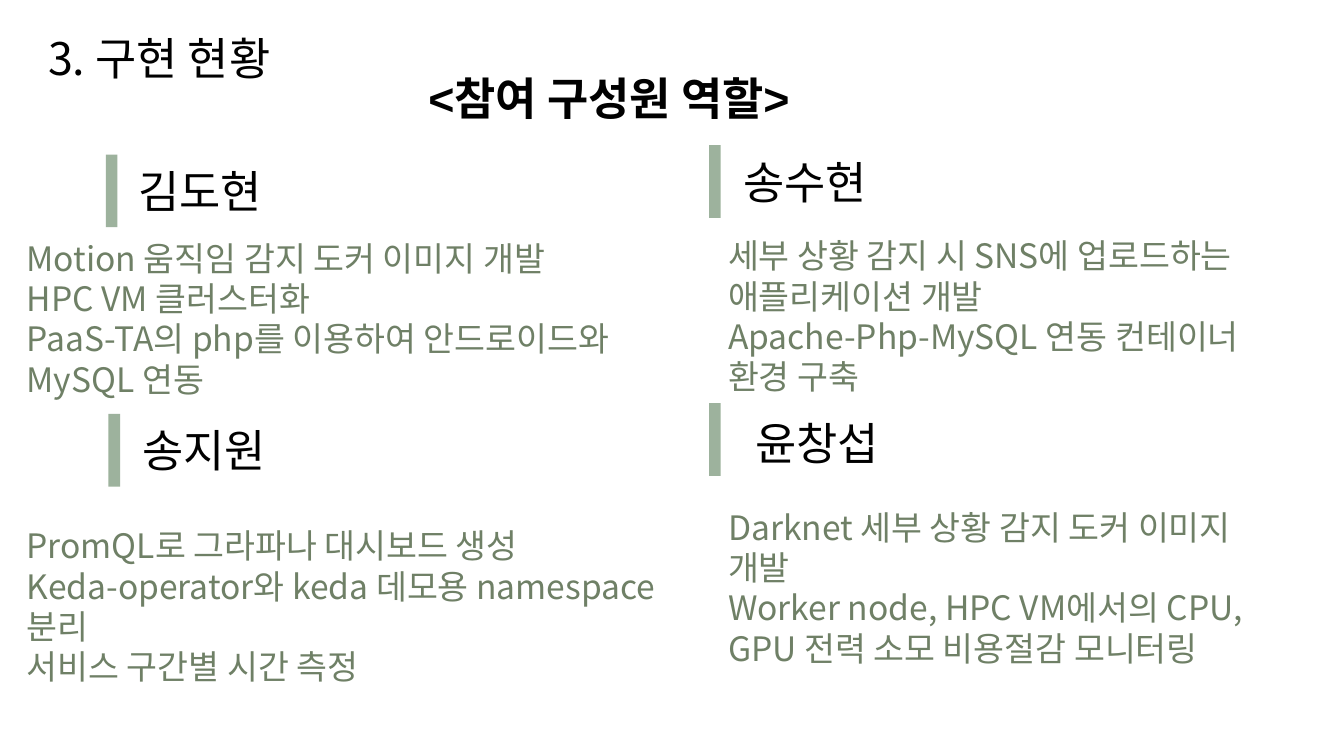
"""Build the slide on the roles of the four project members."""
from lxml import etree
from pptx import Presentation
from pptx.dml.color import RGBColor
from pptx.enum.shapes import MSO_CONNECTOR
from pptx.enum.text import MSO_ANCHOR, PP_ALIGN
from pptx.oxml.ns import qn
from pptx.util import Pt

STRAIGHT = MSO_CONNECTOR.STRAIGHT
TOP, MIDDLE = MSO_ANCHOR.TOP, MSO_ANCHOR.MIDDLE
LEFT, CENTER = PP_ALIGN.LEFT, PP_ALIGN.CENTER
KOREAN = "Noto Sans CJK KR"
BLACK, SAGE, GREEN = "000000", "6F8066", "5A7D59"


def rgb(value):
    return RGBColor.from_string(value)


def add_text(box, lines, size, color=BLACK, align=LEFT, anchor=TOP, font=KOREAN, bold=False):
    sp = s.shapes.add_textbox(*[Pt(v) for v in box])
    tf = sp.text_frame
    tf.word_wrap = True
    tf.vertical_anchor = anchor
    tf.text = "\n".join(lines)
    for p in tf.paragraphs:
        p.alignment = align
        for r in p.runs:
            r.font.size = Pt(size)
            r.font.name = font
            r.font.bold = bold
            r.font.color.rgb = rgb(color)
            ea = etree.SubElement(r.font._element, qn("a:ea"))
            ea.set("typeface", KOREAN)
    return tf


prs = Presentation()
prs.slide_width, prs.slide_height = Pt(720), Pt(405)
s = prs.slides.add_slide(prs.slide_layouts[6])

headings = [
    ((18.7, -6.5, 180.7, 74.2), "3. 구현 현황", KOREAN, False),
    ((222.5, 15.1, 372.2, 74.2), "<참여 구성원 역할>", "Arial", True),
]
for box, text, font, bold in headings:
    tf = add_text(box, [text], 24, anchor=MIDDLE, font=font, bold=bold)
    tf.margin_left = tf.margin_right = tf.margin_top = tf.margin_bottom = Pt(7.2)

members = [
    ("김도현", (18.7, 84.2), (59.8, 82.8), (7.2, 123.8, 367.9, 94.3),
     ["Motion 움직임 감지 도커 이미지 개발", "HPC VM 클러스터화",
      "PaaS-TA의 php를 이용하여 안드로이드와 MySQL 연동"]),
    ("송수현", (342.7, 79.2), (383, 77.8), (383, 122.4, 313.9, 94.3),
     ["세부 상황 감지 시 SNS에 업로드하는 애플리케이션 개발",
      "Apache-Php-MySQL 연동 컨테이너 환경 구축"]),
    ("송지원", (20.9, 222.8), (61.2, 221.8), (7.2, 277.9, 362.9, 94.3),
     ["PromQL로 그라파나 대시보드 생성", "Keda-operator와 keda 데모용 namespace 분리",
      "서비스 구간별 시간 측정"]),
    ("윤창섭", (349.2, 219.3), (383, 216), (383, 267.8, 311.8, 116.6),
     ["Darknet 세부 상황 감지 도커 이미지 개발",
      "Worker node, HPC VM에서의 CPU, GPU 전력 소모 비용절감 모니터링"]),
]
for name, name_at, (x, y), role_box, roles in members:
    add_text((*name_at, 177.1, 36), [name], 24, align=CENTER)
    bar = s.shapes.add_connector(STRAIGHT, Pt(x), Pt(y), Pt(x), Pt(y + 38.9))
    bar.line.width = Pt(6.25)
    bar.line.color.rgb = rgb(GREEN)
    color = bar.line._ln.find(".//" + qn("a:srgbClr"))
    etree.SubElement(color, qn("a:alpha")).set("val", "59000")
    etree.SubElement(bar._element.spPr, qn("a:effectLst"))
    add_text(role_box, roles, 18, color=SAGE)

prs.save("out.pptx")
